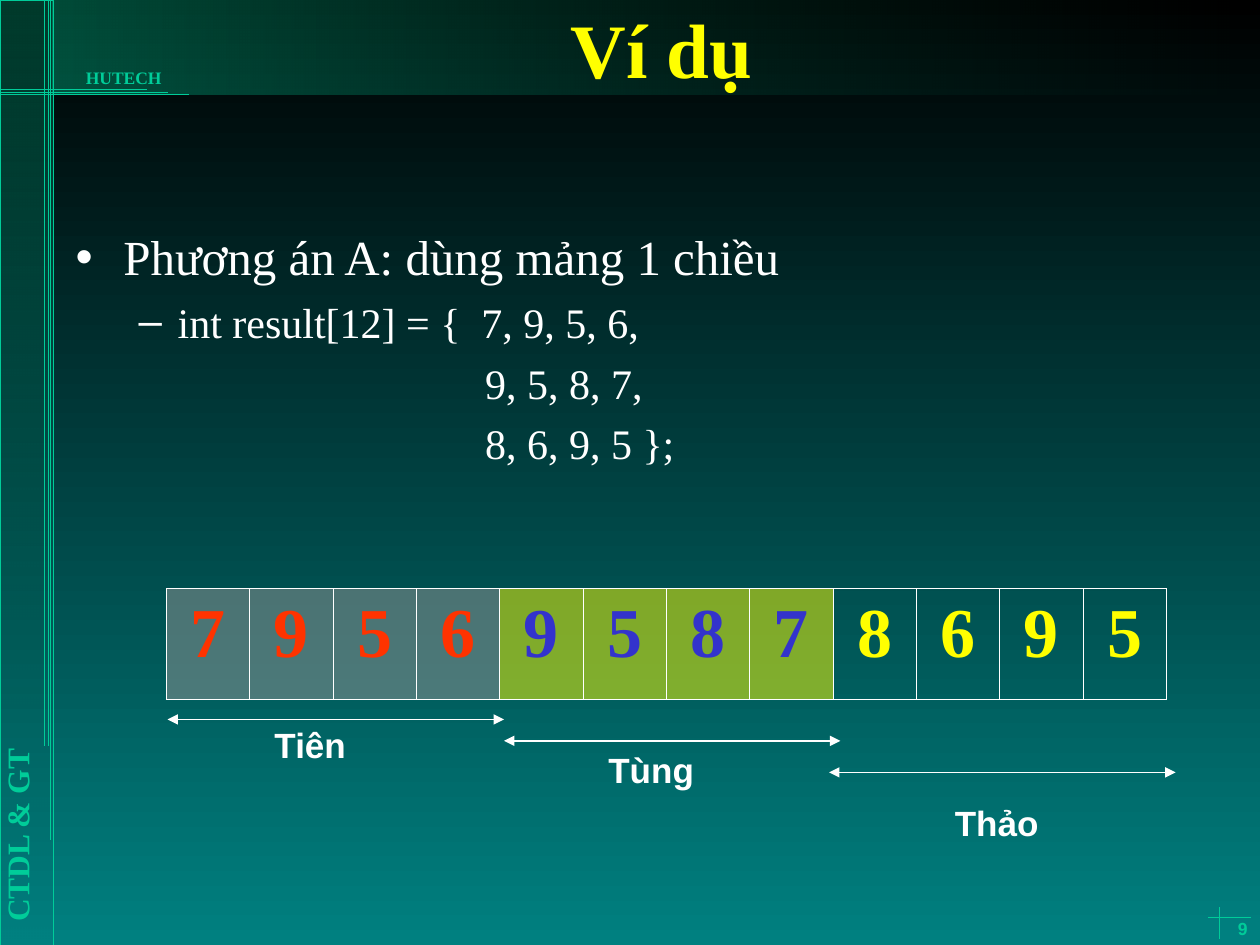
from lxml import etree
from pptx import Presentation, util as u
from pptx.dml.color import RGBColor
from pptx.enum import shapes, text
from pptx.oxml import ns

GREEN, DARK_GREEN, WHITE, YELLOW = "00CC99", "005E47", "FFFFFF", "FFFF00"
SERIF, SANS = "Times New Roman", "Arial"
LEFT, CENTER, RIGHT = text.PP_ALIGN.LEFT, text.PP_ALIGN.CENTER, text.PP_ALIGN.RIGHT
RULES = [
    ((0.38, 0), (0.38, 5.92)), ((0.4, 0), (0.4, 6.67)), ((0.35, 0), (0.35, 5.92)),
    ((0, 0.71), (1.17, 0.71)), ((0, 0.73), (1.33, 0.73)), ((0, 0.75), (1.5, 0.75)),
    ((9.59, 7.28), (9.93, 7.28)), ((9.68, 7.2), (9.68, 7.45)),
]
STUDENTS = [
    dict(name="Tiên", scores=(7, 9, 5, 6), ink="FF3300", shade="969696",
         span=(1.33, 4), arrow_y=5.71, label=(2.08, 5.69, 0.78, 0.44)),
    dict(name="Tùng", scores=(9, 5, 8, 7), ink="3333CC", shade=YELLOW,
         span=(4, 6.67), arrow_y=5.88, label=(4.73, 5.89, 0.89, 0.44)),
    dict(name="Thảo", scores=(8, 6, 9, 5), ink=YELLOW, shade=None,
         span=(6.58, 9.33), arrow_y=6.13, label=(7.48, 6.31, 0.88, 0.44)),
]


def rgb(value):
    """Turn a hex string into a colour."""
    return RGBColor.from_string(value)


def inches(values):
    """Turn several numbers into lengths."""
    return [u.Inches(value) for value in values]


def add_element(parent, tag, **attributes):
    """Append a drawing element with the given attributes."""
    element = etree.SubElement(parent, ns.qn(tag))
    for name, value in attributes.items():
        element.set(name, str(value))
    return element


def add_alpha(fill_element, percents):
    """Set the opacity of each colour inside a fill."""
    for color, percent in zip(fill_element.iter(ns.qn("a:srgbClr")), percents):
        add_element(color, "a:alpha", val=percent * 1000)


def write(para, words, size=18, color=WHITE, font=SERIF, bold=False, align=LEFT):
    """Write one formatted run into a paragraph."""
    para.alignment = align
    para.space_before = u.Pt(0)
    span = para.add_run()
    span.text = words
    span.font.size, span.font.name, span.font.bold = u.Pt(size), font, bold
    span.font.color.rgb = rgb(color)


def add_text(page, place, words, wrap=True, turn=0, anchor=text.MSO_ANCHOR.TOP, **style):
    """Add a text box holding one paragraph; an unwrapped box fits its text."""
    box = page.shapes.add_textbox(*inches(place))
    box.rotation = turn
    frame = box.text_frame
    frame.word_wrap, frame.vertical_anchor = wrap, anchor
    if not wrap:
        frame.auto_size = text.MSO_AUTO_SIZE.SHAPE_TO_FIT_TEXT
    write(frame.paragraphs[0], words, **style)


def add_gradient(page, place, first, last, angle, alphas=(), outline=None):
    """Add a rectangle with a two-colour gradient."""
    box = page.shapes.add_shape(shapes.MSO_SHAPE.RECTANGLE, *inches(place))
    box.shadow.inherit = False
    box.fill.gradient()
    box.fill.gradient_angle = angle
    for stop, color, position in zip(box.fill.gradient_stops, (first, last), (0, 1)):
        stop.color.rgb, stop.position = rgb(color), position
    add_alpha(box.element.spPr.find(ns.qn("a:gradFill")), alphas)
    if outline:
        box.line.color.rgb, box.line.width = rgb(outline), u.Pt(0.25)
    else:
        box.line.fill.background()


def add_line(page, start, end, color=GREEN, width=0.25, arrows=False):
    """Add a straight line, with arrowheads at both ends on request."""
    line = page.shapes.add_connector(shapes.MSO_CONNECTOR.STRAIGHT, *inches(start + end))
    line.line.color.rgb, line.line.width = rgb(color), u.Pt(width)
    if arrows:
        for tag in ("a:headEnd", "a:tailEnd"):
            add_element(line.element.spPr.find(ns.qn("a:ln")), tag, type="triangle")
    add_element(line.element.spPr, "a:effectLst")


def place_front(box, place, anchor):
    """Move a placeholder into position, in front of the backdrop."""
    box.left, box.top, box.width, box.height = inches(place)
    box.element.getparent().append(box.element)
    frame = box.text_frame
    frame.word_wrap, frame.auto_size = True, text.MSO_AUTO_SIZE.NONE
    frame.vertical_anchor = anchor
    return frame


def add_item(para, words, size, margin, hang=0, level=0, bullet=None, before=0):
    """Write one list item with its indent and bullet."""
    para.level = level
    properties = para._p.get_or_add_pPr()
    properties.set("marL", str(u.Inches(margin)))
    properties.set("indent", str(u.Inches(-hang)))
    if bullet:
        add_element(properties, "a:buChar", char=bullet)
    else:
        add_element(properties, "a:buNone")
    write(para, words, size=size)
    para.space_before = u.Pt(before)


def format_cell(cell, score, ink, shade):
    """Fill one score cell and draw its borders."""
    properties = cell._tc.get_or_add_tcPr()
    for side in ("a:lnL", "a:lnR", "a:lnT", "a:lnB"):
        border = add_element(properties, side, w=u.Pt(0.45))
        add_element(add_element(border, "a:solidFill"), "a:srgbClr", val=WHITE)
    if shade:
        cell.fill.solid()
        cell.fill.fore_color.rgb = rgb(shade)
        add_alpha(properties.find(ns.qn("a:solidFill")), [50])
    else:
        cell.fill.background()
    write(cell.text_frame.paragraphs[0], str(score), size=40, color=ink, bold=True, align=CENTER)


def add_scores(page):
    """Add the one-row table of all scores."""
    cells = [(score, student["ink"], student["shade"])
             for student in STUDENTS for score in student["scores"]]
    table = page.shapes.add_table(1, len(cells), *inches((1.32, 4.67, 7.94, 0.88))).table
    table.first_row = table.horz_banding = False
    for cell, content in zip(table.rows[0].cells, cells):
        format_cell(cell, *content)


def add_backdrop(page):
    """Add the gradients, rules and fixed labels."""
    add_gradient(page, (0, 0, 10, 7.5), "000000", "008080", 270)
    add_gradient(page, (0, 0, 0.42, 7.5), GREEN, DARK_GREEN, 270, (29, 0), GREEN)
    add_gradient(page, (0.42, 0, 9.58, 0.75), GREEN, DARK_GREEN, 0, (37, 0))
    for start, end in RULES:
        add_line(page, start, end)
    add_text(page, (-1.95, 5.13, 4.17, 0.4), "CTDL & GT", turn=270, color=GREEN, bold=True)
    add_text(page, (0.12, 0.48, 1.26, 0.27), "HUTECH", size=10, color=GREEN, bold=True, align=RIGHT)
    add_text(page, (9.5, 7.33, 0.5, 0.17), "9", size=10, color=GREEN, font=SANS, bold=True,
             align=RIGHT, anchor=text.MSO_ANCHOR.BOTTOM)


def add_content(page):
    """Fill the title and the list."""
    title = place_front(page.shapes.title, (1, -0.25, 8.5, 1.25), text.MSO_ANCHOR.MIDDLE)
    write(title.paragraphs[0], "Ví dụ", size=44, color=YELLOW, bold=True, align=CENTER)
    body = place_front(page.placeholders[1], (0.5, 1.75, 9.17, 2.25), text.MSO_ANCHOR.TOP)
    add_item(body.paragraphs[0], "Phương án A: dùng mảng 1 chiều", 28, 0.38, hang=0.38, bullet="•")
    add_item(body.add_paragraph(), "int result[12] = {  7, 9, 5, 6,", 24, 0.81, hang=0.31,
             level=1, bullet="–", before=6)
    for words in ("9, 5, 8, 7,", "8, 6, 9, 5 };"):
        add_item(body.add_paragraph(), words, 24, 3.25, level=4, before=6)


def main():
    """Build the slide and save the deck."""
    deck = Presentation()
    deck.slide_width, deck.slide_height = inches((10, 7.5))
    page = deck.slides.add_slide(deck.slide_layouts[1])
    page.background.fill.solid()
    page.background.fill.fore_color.rgb = rgb("000000")
    add_backdrop(page)
    add_content(page)
    add_scores(page)
    for student in STUDENTS:
        start, end = [(x, student["arrow_y"]) for x in student["span"]]
        add_line(page, start, end, color=WHITE, width=0.75, arrows=True)
        add_text(page, student["label"], student["name"], wrap=False, size=20, font=SANS, bold=True)
    deck.save("out.pptx")


if __name__ == "__main__":
    main()
